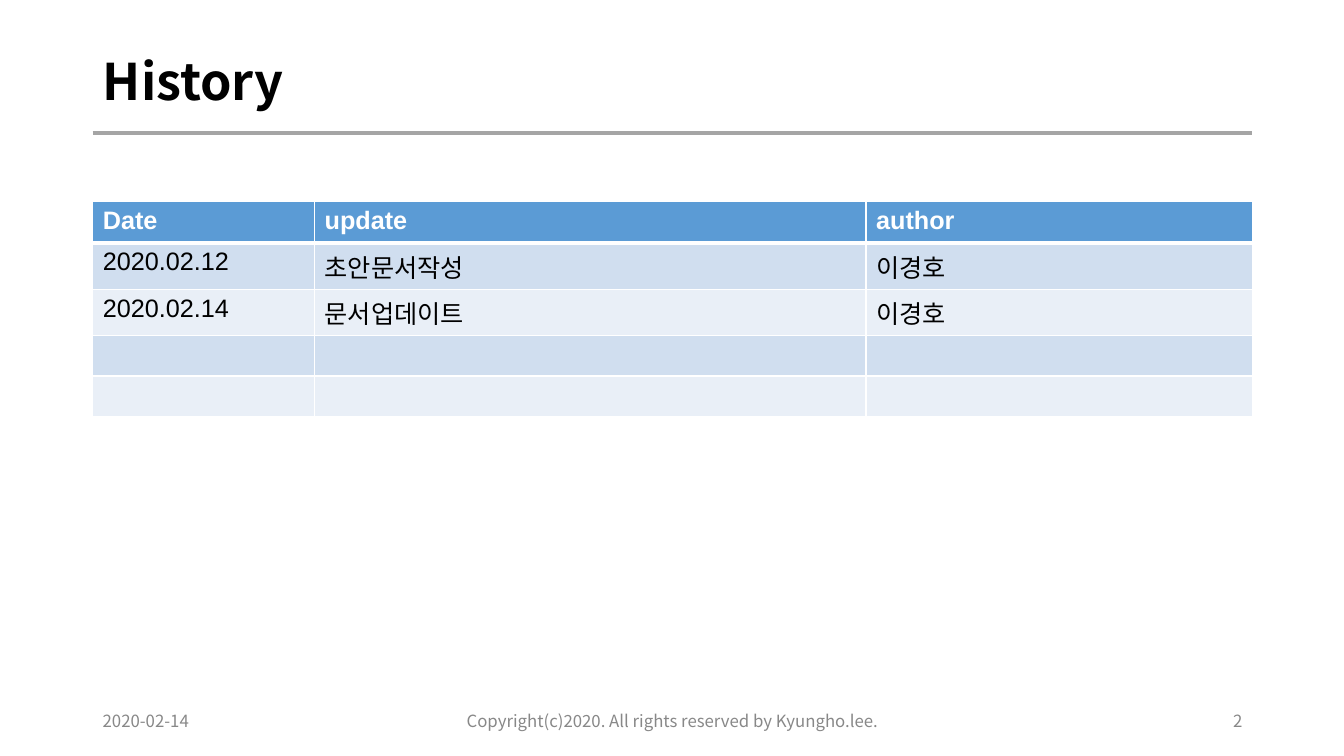
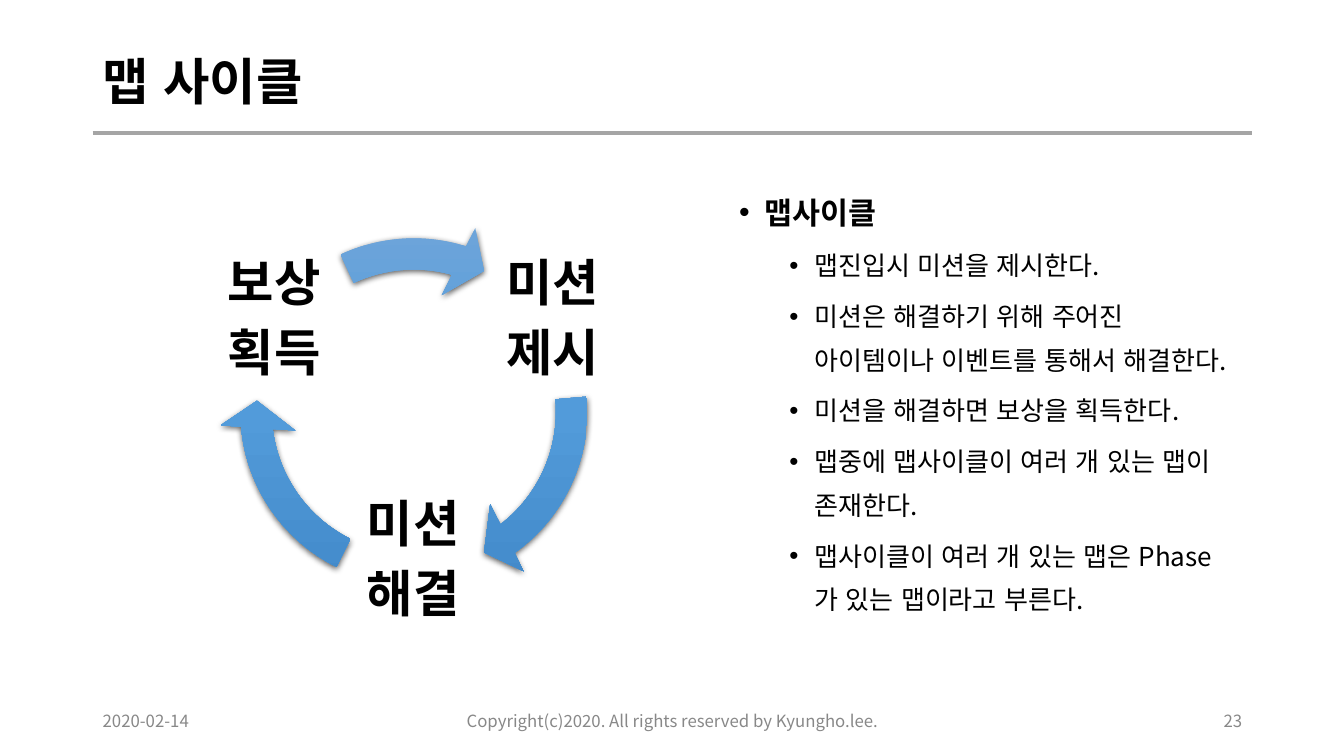
"""Build two slides: a document history table and a map cycle diagram."""
import math

from pptx import Presentation
from pptx import util as u
from pptx.dml.color import RGBColor
from pptx.enum import lang, shapes, text
from pptx.oxml import parse_xml
from pptx.oxml.ns import nsdecls, qn
from lxml import etree

PX = 9144
COLORS = {
    "ink": "000000", "white": "FFFFFF", "rule": "A5A5A5", "footer": "888888",
    "header": "5B9BD5", "odd_row": "D0DEEF", "even_row": "E9EFF7",
    "arc_top": "6EA5DA", "arc_middle": "529BDA", "arc_bottom": "4188C8",
}
KOREAN, LATIN = "Noto Sans CJK KR", "Arial"
LEFT, WIDTH = 92, 1150
ALIGN = text.PP_ALIGN
FOOTERS = [(92, 300, ALIGN.LEFT), (442, 450, ALIGN.CENTER), (942, 300, ALIGN.RIGHT)]


def write(paragraph, words, size, color="ink", bold=False, font=KOREAN):
    run = paragraph.add_run()
    run.text = words
    run.font.size = u.Pt(size)
    run.font.bold = bold
    run.font.language_id = lang.MSO_LANGUAGE_ID.KOREAN
    run.font.color.rgb = RGBColor.from_string(COLORS[color])
    run.font.name = font
    etree.SubElement(run.font._element, qn("a:ea"), typeface=KOREAN)


def add_box(canvas, left, top, width, height, side_inset=10):
    box = canvas.add_textbox(left * PX, top * PX, width * PX, height * PX)
    frame = box.text_frame
    frame.word_wrap = True
    frame.vertical_anchor = text.MSO_ANCHOR.MIDDLE
    frame.margin_left = frame.margin_right = side_inset * PX
    frame.margin_top = frame.margin_bottom = 5 * PX
    return frame


deck = Presentation()
deck.slide_width, deck.slide_height = 1333 * PX, 750 * PX

pages = []
for layout, heading, number in [(5, "History", "2"), (1, "맵 사이클", "23")]:
    page = deck.slides.add_slide(deck.slide_layouts[layout])
    pages.append(page)

    title = page.shapes.title
    title.left, title.top, title.width, title.height = LEFT * PX, 40 * PX, WIDTH * PX, 87 * PX
    title.text_frame.vertical_anchor = text.MSO_ANCHOR.MIDDLE
    heading_line = title.text_frame.paragraphs[0]
    heading_line.alignment = ALIGN.LEFT
    heading_line.line_spacing = 0.9
    write(heading_line, heading, 36, bold=True)

    rule = page.shapes.add_connector(
        shapes.MSO_CONNECTOR.STRAIGHT, LEFT * PX, 132 * PX, (LEFT + WIDTH) * PX, 132 * PX)
    rule.line.color.rgb = RGBColor.from_string(COLORS["rule"])
    rule.line.width = u.Pt(2.25)
    etree.SubElement(rule._element.spPr, qn("a:effectLst"))

    notices = ["2020-02-14", "Copyright(c)2020. All rights reserved by Kyungho.lee.", number]
    for notice, (left, width, alignment) in zip(notices, FOOTERS):
        footer_line = add_box(page.shapes, left, 695, width, 40).paragraphs[0]
        footer_line.alignment = alignment
        write(footer_line, notice, 12, "footer")

history_page, cycle_page = pages

history = [
    (41, "Date", "update", "author"),
    (46, "2020.02.12", "초안문서작성", "이경호"),
    (46, "2020.02.14", "문서업데이트", "이경호"),
    (40, "", "", ""),
    (40, "", "", ""),
]
table_height = sum(row[0] for row in history)
table = history_page.shapes.add_table(
    len(history), 3, LEFT * PX, 200 * PX, WIDTH * PX, table_height * PX).table
for column, width in zip(table.columns, (220, 547, 383)):
    column.width = width * PX
for r, (row_height, *entries) in enumerate(history):
    table.rows[r].height = row_height * PX
    fill_color = "header" if r == 0 else "odd_row" if r % 2 else "even_row"
    for c, entry in enumerate(entries):
        cell = table.cell(r, c)
        cell.margin_left = cell.margin_right = 10 * PX
        cell.margin_top = cell.margin_bottom = 5 * PX
        for side in "LRTB":
            thick = (r, side) in [(0, "B"), (1, "T")]
            cell._tc.get_or_add_tcPr().append(parse_xml(
                f'<a:ln{side} {nsdecls("a")} w="{u.Pt(3 if thick else 1)}"><a:solidFill>'
                f'<a:srgbClr val="{COLORS["white"]}"/></a:solidFill></a:ln{side}>'))
        cell.fill.solid()
        cell.fill.fore_color.rgb = RGBColor.from_string(COLORS[fill_color])
        if entry:
            write(cell.text_frame.paragraphs[0], entry, 18,
                  "white" if r == 0 else "ink", r == 0, LATIN)

cycle_left, cycle_top, cycle_size = 217 * PX, 215 * PX, 387 * PX
OUTER, INNER, TIP, BARB_OUT, BARB_IN = 172, 141, 156, 192, 119
for start, neck in [(-5, 53.5), (116.5, 174), (245, 286.5)]:
    outline = []
    for radius, begin, end in [(OUTER, start, neck + 1), (INNER, neck - 1, start)]:
        reach = 4 / 3 * math.tan(math.radians(end - begin) / 4)
        swing = math.degrees(math.atan(reach))
        handle = radius * math.hypot(1, reach)
        outline += [(radius, begin), (handle, begin + swing), (handle, end - swing), (radius, end)]
        if radius == OUTER:
            outline += [(BARB_OUT, neck + 2), (TIP, neck + 10), (BARB_IN, neck - 3)]
    points = [(round(cycle_left + cycle_size / 2 + radius * math.cos(math.radians(angle)) * PX),
               round(cycle_top + cycle_size / 2 + radius * math.sin(math.radians(angle)) * PX))
              for radius, angle in outline]
    builder = cycle_page.shapes.build_freeform(*points[0])
    builder.add_line_segments(points[1:], close=True)
    arrow = builder.convert_to_shape()

    contour = next(arrow._element.iter(qn("a:path")))
    for spot in contour.iter(qn("a:pt")):
        spot.set("x", str(int(spot.get("x")) + arrow.left - cycle_left))
        spot.set("y", str(int(spot.get("y")) + arrow.top - cycle_top))
    contour.set("w", str(cycle_size))
    contour.set("h", str(cycle_size))
    arrow.left, arrow.top, arrow.width, arrow.height = cycle_left, cycle_top, cycle_size, cycle_size
    segments = contour.findall(qn("a:lnTo"))
    for first in (0, 7):
        curve = etree.Element(qn("a:cubicBezTo"))
        segments[first].addprevious(curve)
        for segment in segments[first:first + 3]:
            curve.append(segment[0])
            contour.remove(segment)

    arrow.line.fill.background()
    stops = "".join(
        f'<a:gs pos="{position}"><a:srgbClr val="{COLORS[name]}"/></a:gs>'
        for position, name in [(0, "arc_top"), (50000, "arc_middle"), (100000, "arc_bottom")])
    arrow._element.spPr.find(qn("a:ln")).addprevious(parse_xml(
        f'<a:gradFill {nsdecls("a")} rotWithShape="1"><a:gsLst>{stops}</a:gsLst>'
        '<a:lin ang="5400000" scaled="0"/></a:gradFill>'))
    arrow._element.spPr.append(parse_xml(
        f'<a:effectLst {nsdecls("a")}><a:outerShdw blurRad="{u.Pt(4.5)}" dist="{u.Pt(1.5)}" '
        f'dir="5400000" rotWithShape="0"><a:srgbClr val="{COLORS["ink"]}">'
        '<a:alpha val="63000"/></a:srgbClr></a:outerShdw></a:effectLst>'))

stage_size = 140
for middle_x, middle_y, stage in [
        (548, 317, ("미션", "제시")), (410, 556, ("미션", "해결")), (272, 317, ("보상", "획득"))]:
    frame = add_box(cycle_page.shapes, middle_x - stage_size // 2, middle_y - stage_size // 2,
                    stage_size, stage_size, 5)
    for i, word in enumerate(stage):
        stage_line = frame.add_paragraph() if i else frame.paragraphs[0]
        stage_line.alignment = ALIGN.CENTER
        stage_line.line_spacing = 0.94
        stage_line.space_before = u.Pt(9 * i)
        write(stage_line, word, 36, bold=True)

explanation = [
    (0, "맵사이클"),
    (1, "맵진입시 미션을 제시한다."),
    (1, "미션은 해결하기 위해 주어진 아이템이나 이벤트를 통해서 해결한다."),
    (1, "미션을 해결하면 보상을 획득한다."),
    (1, "맵중에 맵사이클이 여러 개 있는 맵이 존재한다."),
    (1, "맵사이클이 여러 개 있는 맵은 Phase가 있는 맵이라고 부른다."),
]
body = cycle_page.placeholders[1]
body.left, body.top, body.width, body.height = 723 * PX, 173 * PX, 513 * PX, 476 * PX
body.text_frame.auto_size = text.MSO_AUTO_SIZE.NONE
for i, (level, sentence) in enumerate(explanation):
    point = body.text_frame.add_paragraph() if i else body.text_frame.paragraphs[0]
    point.level = level
    properties = point._p.get_or_add_pPr()
    properties.set("marL", str((25 + 50 * level) * PX))
    properties.set("indent", str(-25 * PX))
    bullet_color = etree.SubElement(properties, qn("a:buClr"))
    etree.SubElement(bullet_color, qn("a:srgbClr"), val=COLORS["ink"])
    etree.SubElement(properties, qn("a:buFont"), typeface=LATIN)
    etree.SubElement(properties, qn("a:buChar"), char="•")
    point.line_spacing = 1.4
    point.space_before = u.Pt(5 * level)
    write(point, sentence, 18.6 if level else 21.7, bold=level == 0)

deck.save("out.pptx")
